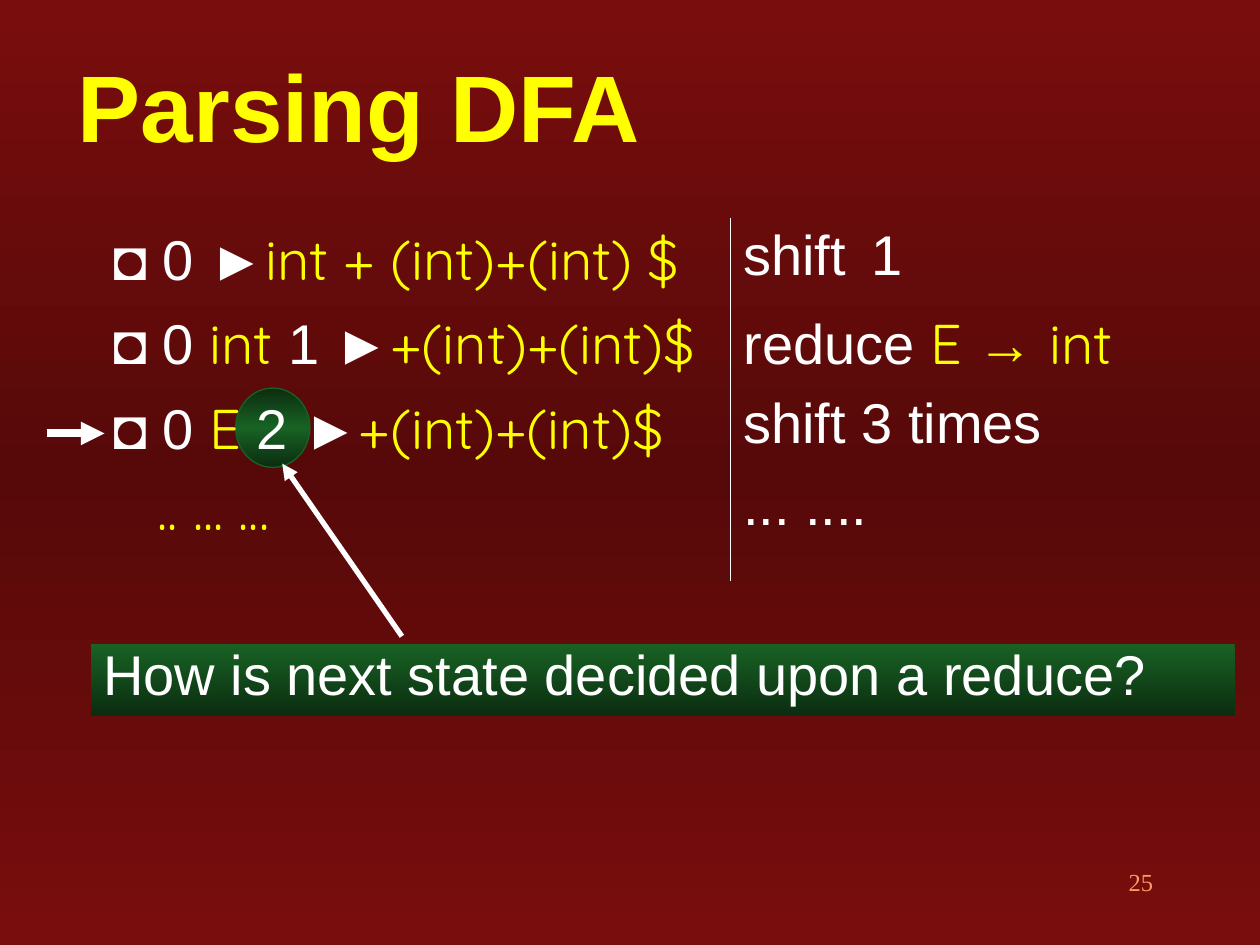
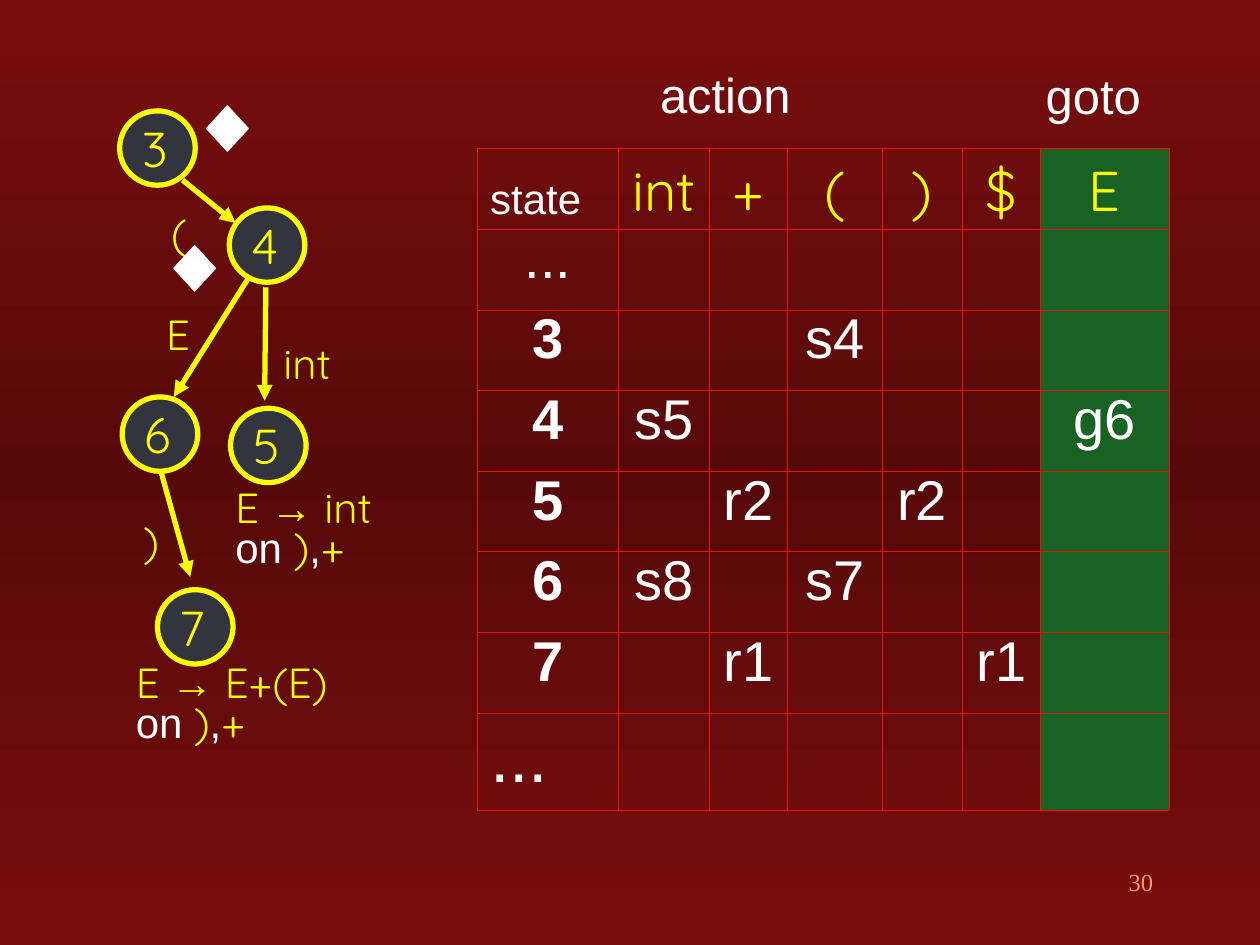
"""Build two lecture slides: a parser trace and an LR parsing table with its DFA."""
from copy import deepcopy

from lxml.etree import SubElement
from pptx import Presentation
from pptx.dml.color import RGBColor
from pptx.enum.shapes import MSO_CONNECTOR, MSO_SHAPE
from pptx.enum.text import MSO_ANCHOR, PP_ALIGN
from pptx.oxml.ns import qn
from pptx.util import Inches, Pt

COLORS = {
    "edge": "790D0D", "middle": "570909", "green": "186224", "dark_green": "0B2D10",
    "yellow": "FFFF00", "white": "FFFFFF", "node": "32353E", "grid": "E8130E",
    "number": "FF9966", "title_shadow": "DDDDDD",
}
PLAIN, SYMBOL, NUMBER = ("Arial", "white"), ("Quicksand", "yellow"), ("Times New Roman", "number")
ARROW = ("Arial", "yellow")
NO_STYLE = "{2D5ABB26-0587-4C30-8999-92F81FD0307C}"

TITLE = "Parsing DFA"
QUESTION = "How is next state decided upon a reduce?"
TRACE = [
    ([("◘ 0 ►", PLAIN), ("int + (int)+(int) $", SYMBOL)], [("shift\t1", PLAIN)]),
    ([("◘ 0", PLAIN), (" int ", SYMBOL), ("1 ►", PLAIN), ("+(int)+(int)$", SYMBOL)],
     [("reduce ", PLAIN), ("E ", SYMBOL), ("→ ", ARROW), ("int", SYMBOL)]),
    ([("◘ 0", PLAIN), (" E ", SYMBOL), ("2 ►", PLAIN), ("+(int)+(int)$", SYMBOL)],
     [("shift 3 times", PLAIN)]),
    ([(".. ... ...", SYMBOL)], [("... ....", PLAIN)]),
]
TRACE_COLS, TRACE_ROWS = [5, 3.4], [0.67, 0.67, 0.65, 0.89]
TRACE_ARROWS = [((3.19, 5.05), (2.24, 3.68), 3), ((0.37, 3.44), (0.83, 3.44), 4.5)]

NODES = [("3", 0.95, 0.88), ("4", 1.82, 1.65), ("5", 1.83, 3.24), ("6", 0.97, 3.15), ("7", 1.25, 4.68)]
EDGES = [
    ((1.45, 1.43), (1.87, 1.77)), ((1.97, 2.21), (1.38, 3.15)),
    ((1.28, 3.75), (1.51, 4.58)), ((2.11, 2.28), (2.1, 3.18)),
]
EDGE_LABELS = [("(", 1.26, 1.6), ("E", 1.22, 2.4), (")", 1.04, 4.04), ("int", 2.15, 2.63)]
REDUCTIONS = [("int", 1.77, 3.85, 1.86), ("E+(E)", 0.98, 5.24, 2.2)]
DIAMONDS = [(1.64, 0.84), (1.38, 1.95)]
GROUPS = [("action", 5.14, 0.46, 1.3), ("goto", 8.2, 0.47, 1.05)]
PARSE_TABLE = [
    ["state", "int", "+", "(", ")", "$", "E"],
    ["...", "", "", "", "", "", ""],
    ["3", "", "", "s4", "", "", ""],
    ["4", "s5", "", "", "", "", "g6"],
    ["5", "", "r2", "", "r2", "", ""],
    ["6", "s8", "", "s7", "", "", ""],
    ["7", "", "r1", "", "", "r1", ""],
    ["...", "", "", "", "", "", ""],
]
PARSE_COLS, PARSE_ROWS = [1.12, 0.72, 0.62, 0.75, 0.64, 0.62, 1.02], [0.64] * 7 + [0.77]


def rgb(name):
    """Return the named colour."""
    return RGBColor.from_string(COLORS[name])


def paint_gradient(fill, element, names):
    """Fill from top to bottom with evenly spaced colours."""
    fill.gradient()
    fill.gradient_angle = 270
    stops = next(element.iter(qn("a:gsLst")))
    while len(stops) < len(names):
        stops.append(deepcopy(stops[0]))
    for i, (stop, name) in enumerate(zip(fill.gradient_stops, names)):
        stop.color.rgb = rgb(name)
        stop.position = i / (len(names) - 1)


def write(tf, runs, size, bold=False, align=PP_ALIGN.LEFT, spacing=None):
    """Write styled runs into the first paragraph of a text frame."""
    tf.word_wrap = True
    p = tf.paragraphs[0]
    p.alignment = align
    if spacing:
        p.line_spacing = spacing
    for text, (font, color) in runs:
        if text == "\n":
            p.add_line_break()
            continue
        r = p.add_run()
        r.text = text
        r.font.name, r.font.size, r.font.bold = font, Pt(size), bold
        r.font.color.rgb = rgb(color)
    return p


def add_text(s, x, y, w, h, runs, size, **style):
    """Add a text box and return it."""
    sp = s.shapes.add_textbox(*map(Inches, (x, y, w, h)))
    write(sp.text_frame, runs, size, **style)
    return sp


def add_shape(s, kind, x, y, w, h, fill, line=None, width=0.75):
    """Add a shape with a flat fill, or a gradient when fill is a list."""
    sp = s.shapes.add_shape(kind, *map(Inches, (x, y, w, h)))
    sp.shadow.inherit = False
    if isinstance(fill, list):
        paint_gradient(sp.fill, sp.element, fill)
    else:
        sp.fill.solid()
        sp.fill.fore_color.rgb = rgb(fill)
    if line:
        sp.line.color.rgb = rgb(line)
        sp.line.width = Pt(width)
    else:
        sp.line.fill.background()
    return sp


def add_arrow(s, start, end, color, width):
    """Add a straight arrow from start to end."""
    c = s.shapes.add_connector(MSO_CONNECTOR.STRAIGHT, *map(Inches, start + end))
    c.line.color.rgb = rgb(color)
    c.line.width = Pt(width)
    SubElement(c.line._get_or_add_ln(), qn("a:tailEnd"), type="triangle")
    SubElement(c.element.spPr, qn("a:effectLst"))


def add_grid(s, x, y, cols, rows):
    """Add an unstyled table with the given column widths and row heights."""
    frame = s.shapes.add_table(len(rows), len(cols), *map(Inches, (x, y, sum(cols), sum(rows))))
    table = frame.table
    table.first_row = table.horz_banding = False
    next(frame.element.iter(qn("a:tableStyleId"))).text = NO_STYLE
    for col, w in zip(table.columns, cols):
        col.width = Inches(w)
    for row, h in zip(table.rows, rows):
        row.height = Inches(h)
    return table


def style_cell(cell, sides, color, fill=None):
    """Draw thin borders on the given sides of a cell, then fill it."""
    tcPr = cell._tc.get_or_add_tcPr()
    for side in sides:
        ln = SubElement(tcPr, qn("a:ln" + side), w=str(Pt(0.45)))
        SubElement(SubElement(ln, qn("a:solidFill")), qn("a:srgbClr"), val=COLORS[color])
    if fill:
        cell.fill.solid()
        cell.fill.fore_color.rgb = rgb(fill)
    else:
        cell.fill.background()


def add_slide(prs, number):
    """Add a blank slide with the shared background and slide number."""
    s = prs.slides.add_slide(prs.slide_layouts[6])
    paint_gradient(s.background.fill, s.element, ["edge", "middle", "edge"])
    add_text(s, 7.17, 6.83, 2.08, 0.5, [(number, NUMBER)], 14, align=PP_ALIGN.RIGHT)
    return s


def add_title(s, text):
    """Add the slide title with its light text shadow."""
    sp = add_text(s, 0.52, 0.42, 9.4, 0.83, [(text, ("Arial", "yellow"))], 54, bold=True)
    sp.text_frame.vertical_anchor = MSO_ANCHOR.MIDDLE
    effects = sp.element.makeelement(qn("a:effectLst"))
    shadow = SubElement(effects, qn("a:outerShdw"), dist=str(Pt(2)), dir="2700000")
    SubElement(shadow, qn("a:srgbClr"), val=COLORS["title_shadow"])
    next(sp.element.iter(qn("a:latin"))).addprevious(effects)


def build_trace(prs):
    """Build the slide that traces the parser stack."""
    s = add_slide(prs, "25")
    add_shape(s, MSO_SHAPE.OVAL, 1.87, 3.08, 0.59, 0.63, ["dark_green", "green", "dark_green"], "green")
    add_title(s, TITLE)
    sp = add_shape(s, MSO_SHAPE.RECTANGLE, 0.72, 5.11, 9.08, 0.57, ["green", "dark_green"])
    sp.text_frame.vertical_anchor = MSO_ANCHOR.TOP
    write(sp.text_frame, [(QUESTION, PLAIN)], 32, spacing=0.85)

    table = add_grid(s, 0.8, 1.73, TRACE_COLS, TRACE_ROWS)
    for i, row in enumerate(TRACE):
        for j, runs in enumerate(row):
            cell = table.cell(i, j)
            style_cell(cell, "RL"[j], "white")
            write(cell.text_frame, runs, 32)
    first_action = table.cell(0, 1).text_frame.paragraphs[0]
    tabs = SubElement(first_action._p.get_or_add_pPr(), qn("a:tabLst"))
    SubElement(tabs, qn("a:tab"), pos=str(Inches(1.02)), algn="l")
    last_stack = table.cell(len(TRACE) - 1, 0).text_frame.paragraphs[0]
    last_stack._p.get_or_add_pPr().set("marL", str(Inches(0.35)))

    for start, end, width in TRACE_ARROWS:
        add_arrow(s, start, end, "white", width)


def build_table(prs):
    """Build the slide with the DFA and its action and goto table."""
    s = add_slide(prs, "30")
    for start, end in EDGES:
        add_arrow(s, start, end, "yellow", 3)
    for state, x, y in NODES:
        add_shape(s, MSO_SHAPE.OVAL, x, y, 0.6, 0.59, "node", "yellow", 3)
        add_text(s, x + 0.08, y + 0.01, 0.42, 0.57, [(state, SYMBOL)], 28)
    for label, x, y in EDGE_LABELS:
        add_text(s, x, y, 0.3 + 0.15 * len(label), 0.5, [(label, SYMBOL)], 24)
    for body, x, y, w in REDUCTIONS:
        runs = [("E ", SYMBOL), ("→ ", ARROW), (body, SYMBOL), ("\n", SYMBOL),
                ("on", PLAIN), (" )", SYMBOL), (",", PLAIN), ("+", SYMBOL)]
        add_text(s, x, y, w, 0.74, runs, 24, spacing=0.8)

    table = add_grid(s, 3.79, 1.18, PARSE_COLS, PARSE_ROWS)
    last_row, last_col = len(PARSE_ROWS) - 1, len(PARSE_COLS) - 1
    for i, row in enumerate(PARSE_TABLE):
        for j, text in enumerate(row):
            cell = table.cell(i, j)
            style_cell(cell, "LRTB", "grid", "green" if j == last_col else None)
            if not text:
                continue
            corner = j == 0 and i in (0, last_row)
            size = {0: 24, last_row: 40}[i] if corner else 32
            write(cell.text_frame, [(text, SYMBOL if i == 0 and j else PLAIN)], size,
                  bold=j == 0 and text.isdigit(),
                  align=PP_ALIGN.LEFT if corner else PP_ALIGN.CENTER,
                  spacing=0.85 if 0 < i < last_row else None)
    table.cell(0, 0).vertical_anchor = MSO_ANCHOR.BOTTOM

    for label, x, y, w in GROUPS:
        add_text(s, x, y, w, 0.57, [(label, PLAIN)], 28)
    for x, y in DIAMONDS:
        add_shape(s, MSO_SHAPE.DIAMOND, x, y, 0.33, 0.36, "white", "white")


def main():
    """Build and save the presentation."""
    prs = Presentation()
    prs.slide_width, prs.slide_height = Inches(10), Inches(7.5)
    build_trace(prs)
    build_table(prs)
    prs.save("out.pptx")


if __name__ == "__main__":
    main()
